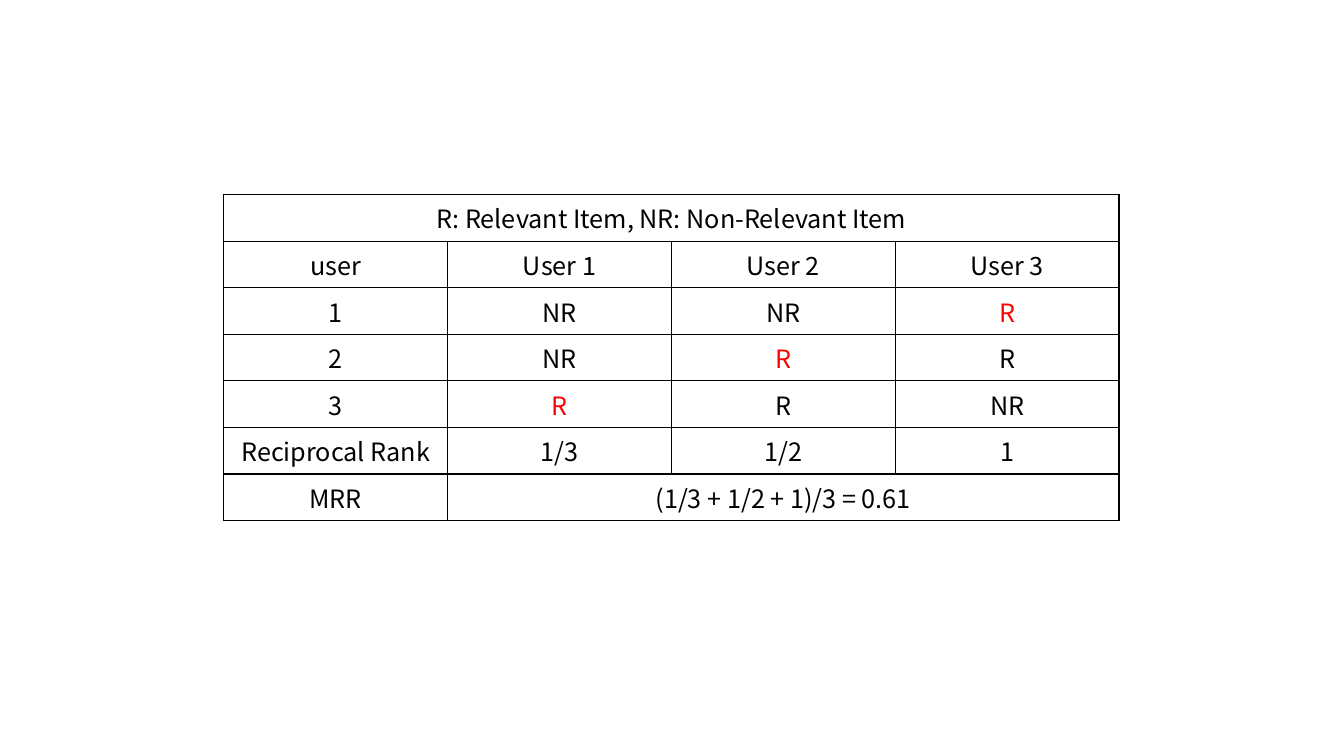
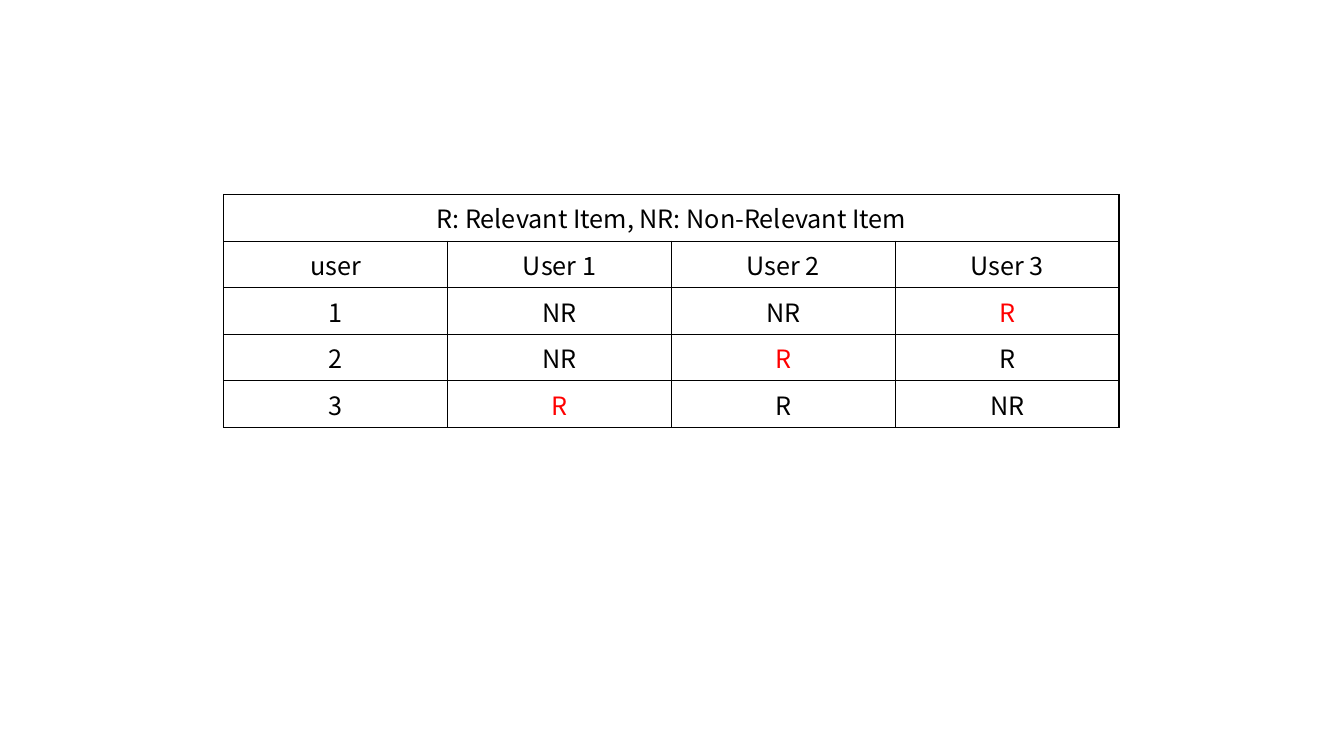
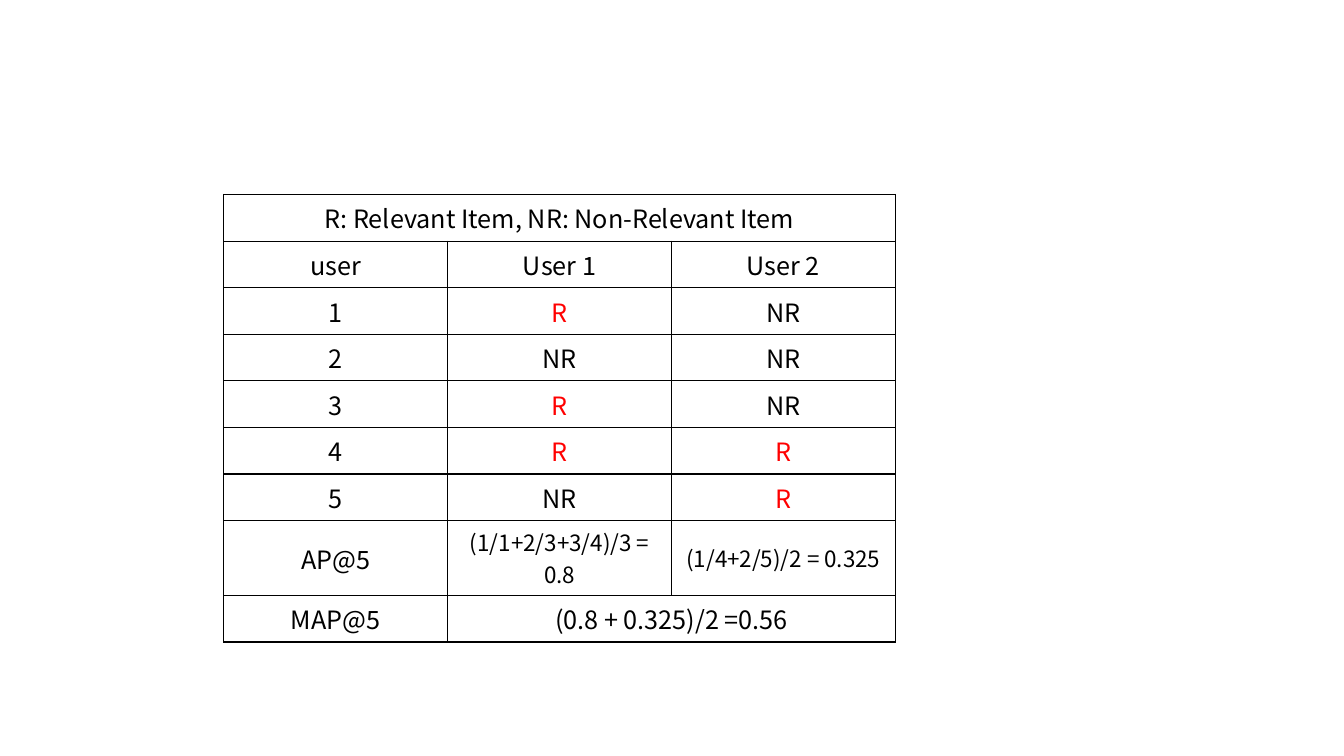
from lxml.etree import SubElement
from pptx import Presentation
from pptx.dml.color import RGBColor
from pptx.enum.text import MSO_ANCHOR as Anchor, PP_ALIGN as Align
from pptx.oxml.ns import qn
from pptx.util import Inches, Pt

COLORS = {"text": "000000", "hit": "FF0000", "border": "000000"}
FONT = "Noto Sans CJK KR"
BODY_SIZE, FORMULA_SIZE = 18, 16
COLUMN_WIDTH, ROW_HEIGHT = 2.22, 0.41
TABLE_LEFT, TABLE_TOP = 2.22, 1.93
HIT = "R*"
LEGEND = "R: Relevant Item, NR: Non-Relevant Item"

RECIPROCAL_RANKINGS = [
    [LEGEND, None, None, None],
    ["user", "User 1", "User 2", "User 3"],
    ["1", "NR", "NR", HIT],
    ["2", "NR", HIT, "R"],
    ["3", HIT, "R", "NR"],
]
RECIPROCAL_SCORES = [
    ["Reciprocal Rank", "1/3", "1/2", "1"],
    ["MRR", "(1/3 + 1/2 + 1)/3 = 0.61", None, None],
]
AVERAGE_PRECISION = [
    [LEGEND, None, None],
    ["user", "User 1", "User 2"],
    ["1", HIT, "NR"],
    ["2", "NR", "NR"],
    ["3", HIT, "NR"],
    ["4", HIT, HIT],
    ["5", "NR", HIT],
    ["AP@5", "(1/1+2/3+3/4)/3 = 0.8", "(1/4+2/5)/2 = 0.325"],
    ["MAP@5", "(0.8 + 0.325)/2 =0.56", None],
]


def draw_borders(cell):
    """Give all four sides of a cell a solid 1 pt line and leave it unfilled."""
    properties = cell._tc.get_or_add_tcPr()
    for side in ("a:lnL", "a:lnR", "a:lnT", "a:lnB"):
        line = SubElement(properties, qn(side), w=str(Pt(1)))
        fill = SubElement(line, qn("a:solidFill"))
        SubElement(fill, qn("a:srgbClr"), val=COLORS["border"])
    cell.fill.background()


def write_cell(cell, text, size):
    """Write centred text, in the hit colour where it is marked as a hit."""
    cell.text = "R" if text == HIT else text
    cell.vertical_anchor = Anchor.MIDDLE
    paragraph = cell.text_frame.paragraphs[0]
    paragraph.alignment = Align.CENTER
    font = paragraph.font
    font.name, font.size = FONT, Pt(size)
    font.color.rgb = RGBColor.from_string(COLORS["hit" if text == HIT else "text"])


def add_ranking_table(slide, left, top, rows, formula_row=None):
    """Place a bordered ranking table; None continues the cell to its left."""
    column_count = len(rows[0])
    table = slide.shapes.add_table(
        len(rows), column_count, Inches(left), Inches(top),
        Inches(COLUMN_WIDTH * column_count), Inches(ROW_HEIGHT * len(rows))).table
    table.first_row = table.horz_banding = False
    for column in table.columns:
        column.width = Inches(COLUMN_WIDTH)
    for r, row in enumerate(rows):
        table.rows[r].height = Inches(ROW_HEIGHT)
        for c, text in enumerate(row):
            cell = table.cell(r, c)
            draw_borders(cell)
            if text is not None:
                is_formula = r == formula_row and c > 0
                write_cell(cell, text, FORMULA_SIZE if is_formula else BODY_SIZE)
        if None in row:
            table.cell(r, row.index(None) - 1).merge(table.cell(r, column_count - 1))


def main():
    """Build the three ranking slides."""
    deck = Presentation()
    deck.slide_width, deck.slide_height = Inches(13.33), Inches(7.5)
    slides = [
        (RECIPROCAL_RANKINGS + RECIPROCAL_SCORES, None),
        (RECIPROCAL_RANKINGS, None),
        (AVERAGE_PRECISION, len(AVERAGE_PRECISION) - 2),
    ]
    for rows, formula_row in slides:
        slide = deck.slides.add_slide(deck.slide_layouts[6])
        add_ranking_table(slide, TABLE_LEFT, TABLE_TOP, rows, formula_row)
    deck.save("out.pptx")


if __name__ == "__main__":
    main()
